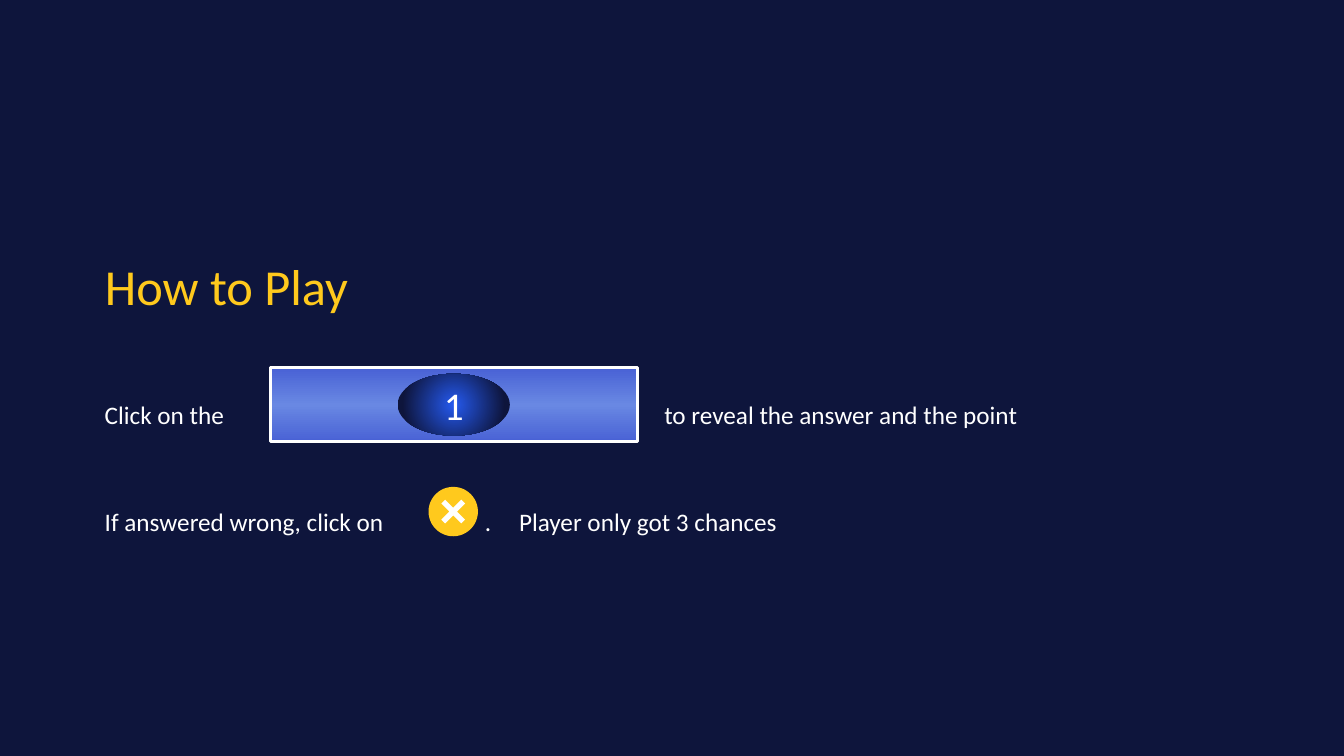
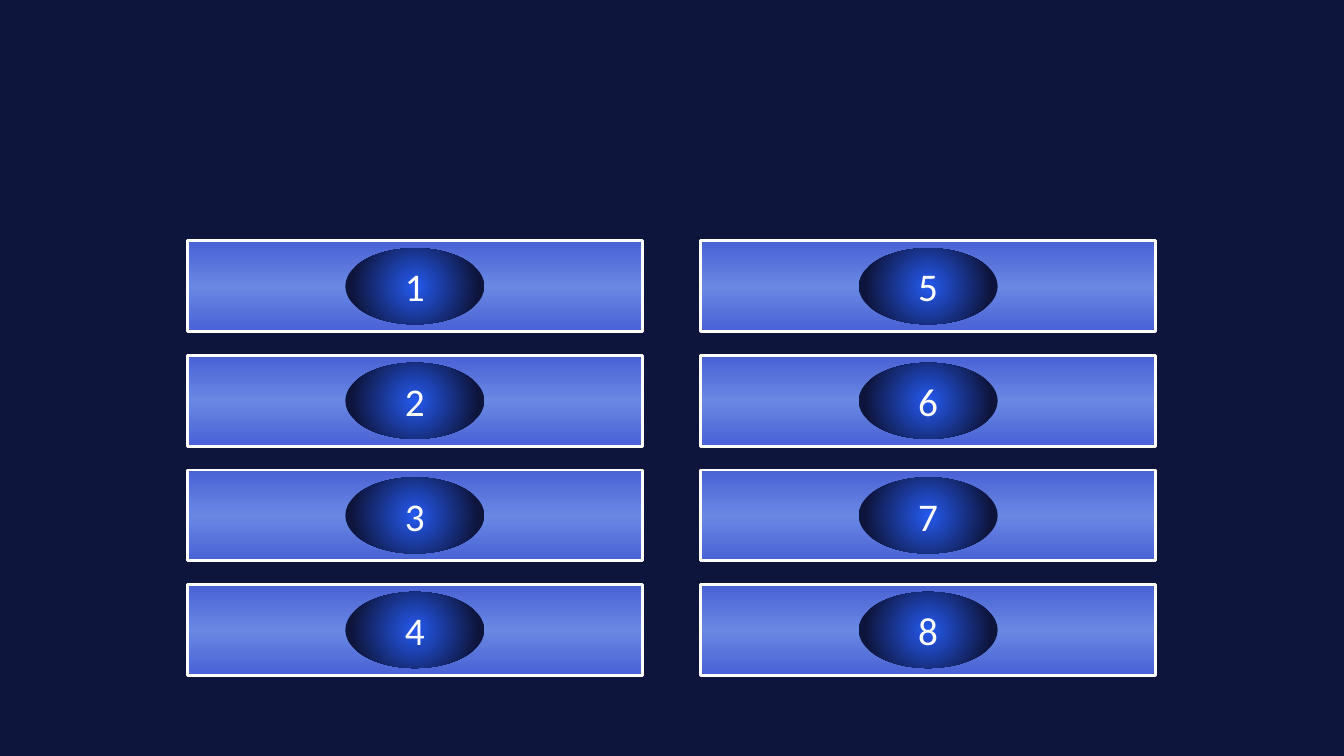
from lxml import etree
from pptx import Presentation, util as u
from pptx.dml.color import RGBColor
from pptx.enum import shapes, text
from pptx.oxml import parse_xml
from pptx.oxml.ns import nsdecls, qn

NAVY, GOLD, WHITE = "0E153C", "FFC91D", "FFFFFF"
BLUE, LIGHT_BLUE, BRIGHT_BLUE = "4962D5", "6988E3", "255AEF"
FONT = "Calibri"
LINEAR = '<a:lin ang="5400000" scaled="0"/>'
RADIAL = ('<a:path path="circle">'
          '<a:fillToRect l="50000" t="50000" r="50000" b="50000"/></a:path>')
TILE_FILL = ([(0, BLUE), (50, LIGHT_BLUE), (100, BLUE)], LINEAR)
BADGE_FILL = ([(0, BRIGHT_BLUE), (80, NAVY)], RADIAL)
KIND = shapes.MSO_SHAPE


def color(hex_string):
    return RGBColor.from_string(hex_string)


def inches(box):
    return [u.Inches(v) for v in box]


def centered(box, w, h):
    """Box of the given size in the middle of another box."""
    x, y, bw, bh = box
    return x + (bw - w) / 2, y + (bh - h) / 2, w, h


def gradient(sp, stops, direction):
    sp.fill.background()
    stop_xml = "".join(f'<a:gs pos="{pos * 1000}"><a:srgbClr val="{c}"/></a:gs>'
                       for pos, c in stops)
    grad = parse_xml(f'<a:gradFill {nsdecls("a")} rotWithShape="1">'
                     f'<a:gsLst>{stop_xml}</a:gsLst>{direction}</a:gradFill>')
    props = sp.fill._xPr
    props.replace(props.find(qn("a:noFill")), grad)


def add_shape(parent, kind, box, fill, line=None):
    """Preset shape with a plain (hex) or gradient (stops, direction) fill."""
    sp = parent.shapes.add_shape(kind, *inches(box))
    sp.shadow.inherit = False
    if isinstance(fill, str):
        sp.fill.solid()
        sp.fill.fore_color.rgb = color(fill)
    else:
        gradient(sp, *fill)
    if line:
        sp.line.color.rgb = color(line)
        sp.line.width = u.Pt(2)
    else:
        sp.line.fill.background()
    return sp


def write(sp, words, size, c=WHITE, align=text.PP_ALIGN.LEFT,
          anchor=text.MSO_ANCHOR.TOP, spacing=None):
    tf = sp.text_frame
    tf.word_wrap = True
    tf.auto_size = text.MSO_AUTO_SIZE.NONE
    tf.vertical_anchor = anchor
    p = tf.paragraphs[0]
    p.text = words
    p.alignment = align
    p.line_spacing = spacing
    p.font.name, p.font.size = FONT, u.Pt(size)
    p.font.color.rgb = color(c)
    return p


def add_label(s, words, box):
    return write(s.shapes.add_textbox(*inches(box)), words, 18, spacing=1.5)


def add_tab(p, position):
    props = p._p.get_or_add_pPr()
    tabs = etree.Element(qn("a:tabLst"))
    etree.SubElement(tabs, qn("a:tab"), pos=str(u.Inches(position)), algn="l")
    props.find(qn("a:defRPr")).addprevious(tabs)


def add_tile(s, number, box):
    """Answer tile with a numbered oval in its middle."""
    group = s.shapes.add_group_shape()
    add_shape(group, KIND.RECTANGLE, box, TILE_FILL, WHITE)
    oval = centered(box, box[2] * 0.306, box[3] * 0.84)
    badge = add_shape(group, KIND.OVAL, oval, BADGE_FILL)
    write(badge, str(number), 28, align=text.PP_ALIGN.CENTER,
          anchor=text.MSO_ANCHOR.MIDDLE)


def add_wrong_button(s, box):
    """Round button with a cross."""
    group = s.shapes.add_group_shape()
    add_shape(group, KIND.OVAL, box, GOLD)
    cross = add_shape(group, KIND.CROSS, centered(box, 0.28, 0.28), WHITE)
    cross.adjustments[0] = 0.405
    cross.rotation = 45


def rules_slide(prs):
    s = prs.slides.add_slide(prs.slide_layouts.get_by_name("Title Only"))
    left, reveal_top, wrong_top, row_h = 0.94, 3.76, 4.82, 0.5
    title = s.shapes.title
    title.left, title.top, title.width, title.height = inches((left, 2.18, 3.64, 0.91))
    write(title, "How to Play", 36, GOLD, spacing=1.5)

    # Revealing an answer
    add_label(s, "Click on the", (left, reveal_top, 1.58, row_h))
    add_label(s, "to reveal the answer and the point", (6.49, reveal_top, 4.81, row_h))
    add_tile(s, 1, (2.68, 3.65, 3.64, 0.73))

    # Marking a wrong answer
    add_label(s, "If answered wrong, click on", (left, wrong_top, 3.32, row_h))
    add_wrong_button(s, (4.25, 4.83, 0.49, 0.49))
    p = add_label(s, ".\tPlayer only got 3 chances", (4.71, wrong_top, 3.47, row_h))
    add_tab(p, 0.34)


def board_slide(prs, box, cols=2, rows=4, tile_w=4.51, tile_h=0.9):
    """Tiles numbered down each column, spread evenly over the box."""
    s = prs.slides.add_slide(prs.slide_layouts.get_by_name("Blank"))
    x, y, w, h = box
    step_x, step_y = (w - tile_w) / (cols - 1), (h - tile_h) / (rows - 1)
    for i in range(cols * rows):
        col, row = divmod(i, rows)
        add_tile(s, i + 1, (x + col * step_x, y + row * step_y, tile_w, tile_h))


def main():
    prs = Presentation()
    prs.slide_width, prs.slide_height = u.Inches(13.33), u.Inches(7.5)
    # Shared background
    fill = prs.slide_master.background.fill
    fill.solid()
    fill.fore_color.rgb = color(NAVY)
    rules_slide(prs)
    board_slide(prs, (1.86, 2.39, 9.6, 4.31))
    prs.save("out.pptx")


if __name__ == "__main__":
    main()
